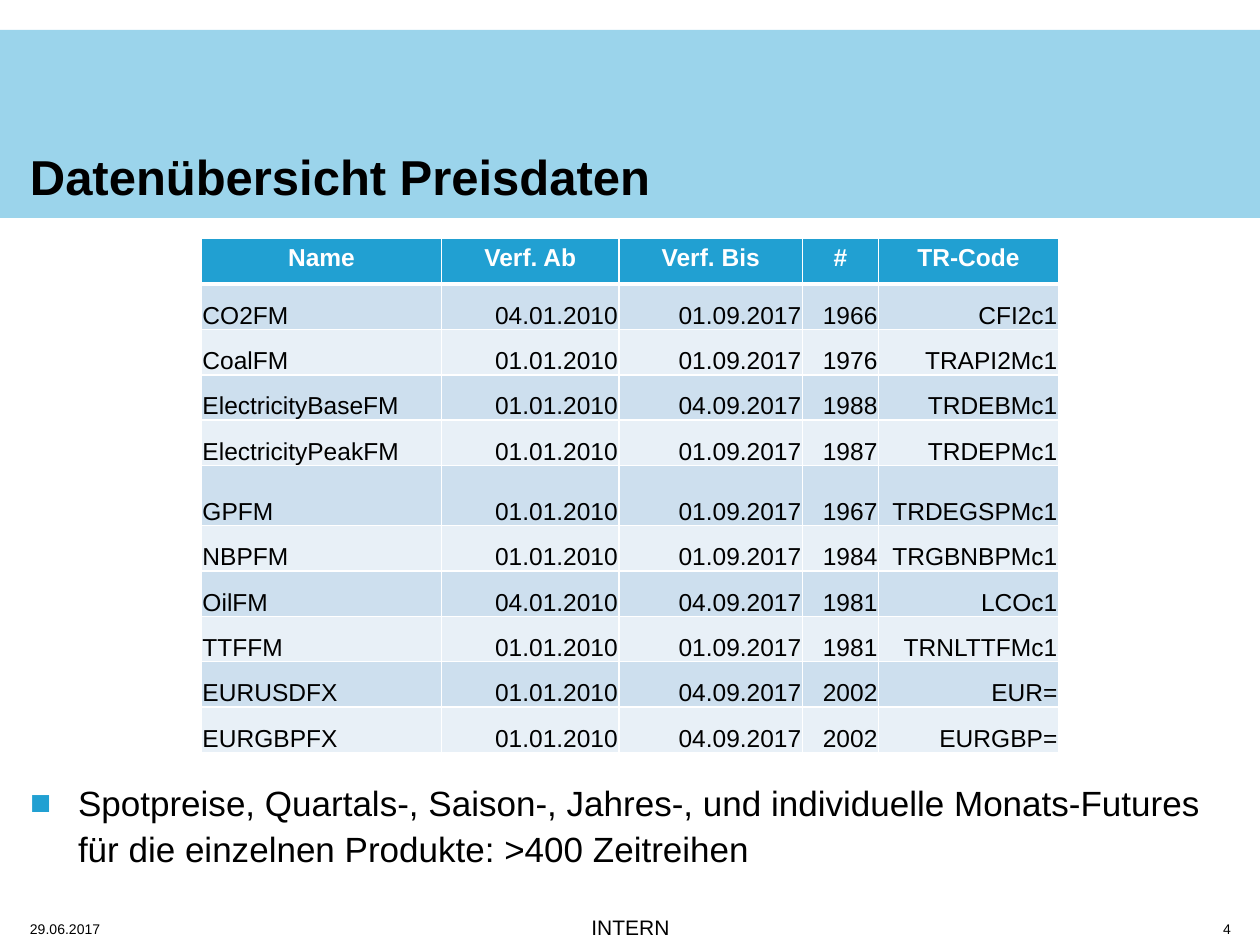
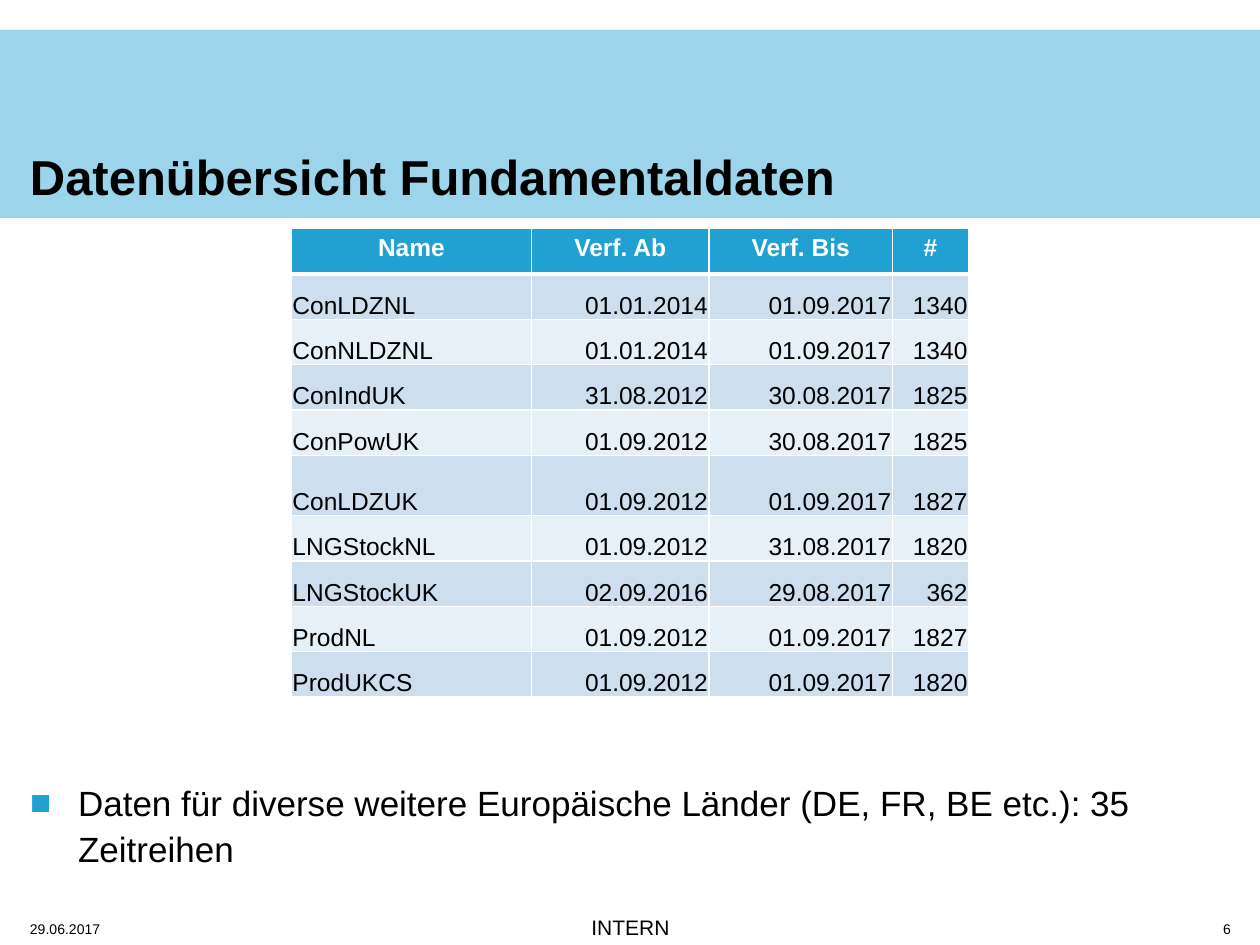
from pptx import Presentation, util as u
from pptx.dml.color import RGBColor
from pptx.enum import shapes, text
from pptx.oxml import parse_xml
from pptx.oxml.ns import nsdecls, qn
from lxml import etree

SCALE = 914400 / 126
FONT = "Arial"
BLACK, WHITE, BAND, ACCENT = "000000", "FFFFFF", "9BD4EB", "21A0D2"
STRIPES = ("CDDFEE", "E8F0F7")
LEFT, CENTER, RIGHT = text.PP_ALIGN.LEFT, text.PP_ALIGN.CENTER, text.PP_ALIGN.RIGHT
TOP, BOTTOM = text.MSO_ANCHOR.TOP, text.MSO_ANCHOR.BOTTOM
COLUMNS = {"Name": 240, "Verf. Ab": 177.5, "Verf. Bis": 183.5, "#": 76, "TR-Code": 180}
HEADER_HEIGHT, ROW_HEIGHT, TALL_HEIGHT, TALL_ROW = 46, 45.4, 60, 5

PRICES = [
    ("CO2FM", "04.01.2010", "01.09.2017", "1966", "CFI2c1"),
    ("CoalFM", "01.01.2010", "01.09.2017", "1976", "TRAPI2Mc1"),
    ("ElectricityBaseFM", "01.01.2010", "04.09.2017", "1988", "TRDEBMc1"),
    ("ElectricityPeakFM", "01.01.2010", "01.09.2017", "1987", "TRDEPMc1"),
    ("GPFM", "01.01.2010", "01.09.2017", "1967", "TRDEGSPMc1"),
    ("NBPFM", "01.01.2010", "01.09.2017", "1984", "TRGBNBPMc1"),
    ("OilFM", "04.01.2010", "04.09.2017", "1981", "LCOc1"),
    ("TTFFM", "01.01.2010", "01.09.2017", "1981", "TRNLTTFMc1"),
    ("EURUSDFX", "01.01.2010", "04.09.2017", "2002", "EUR="),
    ("EURGBPFX", "01.01.2010", "04.09.2017", "2002", "EURGBP="),
]
FUNDAMENTALS = [
    ("ConLDZNL", "01.01.2014", "01.09.2017", "1340"),
    ("ConNLDZNL", "01.01.2014", "01.09.2017", "1340"),
    ("ConIndUK", "31.08.2012", "30.08.2017", "1825"),
    ("ConPowUK", "01.09.2012", "30.08.2017", "1825"),
    ("ConLDZUK", "01.09.2012", "01.09.2017", "1827"),
    ("LNGStockNL", "01.09.2012", "31.08.2017", "1820"),
    ("LNGStockUK", "02.09.2016", "29.08.2017", "362"),
    ("ProdNL", "01.09.2012", "01.09.2017", "1827"),
    ("ProdUKCS", "01.09.2012", "01.09.2017", "1820"),
]


def px(length):
    """Turn pixels into EMU."""
    return u.Emu(round(length * SCALE))


def color(value):
    """Turn a hex string into a colour."""
    return RGBColor.from_string(value)


def style(para, size, ink=BLACK, bold=False, align=LEFT):
    """Set the font and alignment of a paragraph."""
    para.alignment = align
    para.font.name, para.font.size = FONT, u.Pt(size)
    para.font.bold, para.font.color.rgb = bold, color(ink)


def add_text(page, box, words, size, anchor=BOTTOM, **look):
    """Place one paragraph in a box without insets and return it."""
    frame = page.shapes.add_textbox(*map(px, box)).text_frame
    frame.word_wrap, frame.vertical_anchor = True, anchor
    frame.margin_left = frame.margin_top = frame.margin_right = frame.margin_bottom = 0
    para = frame.paragraphs[0]
    para.text = words
    style(para, size, **look)
    return para


def add_heading(page, box, title):
    """Draw the title band with its title."""
    left, top, width, height = box
    band = page.shapes.add_shape(shapes.MSO_SHAPE.RECTANGLE, *map(px, box))
    band.shadow.inherit = False
    band.fill.solid()
    band.fill.fore_color.rgb = color(BAND)
    band.line.fill.background()
    add_text(page, (left + 30, top + 58, 983, 117), title, 28, bold=True)


def add_footer(page, box, number):
    """Place date, classification and page number along the foot."""
    left, top, width, height = box
    side = 100
    add_text(page, (left + width - side, top, side, height), number, 8, align=RIGHT)
    add_text(page, (left + side - 1, top + 10, width - 2 * side + 2, 14), "INTERN", 12, align=CENTER)
    add_text(page, (left, top, side, height), "29.06.2017", 8)


def set_borders(cell, top, bottom):
    """Give a cell white borders, with top and bottom widths in points."""
    props = cell._tc.get_or_add_tcPr()
    for side, width in (("L", 1), ("R", 1), ("T", top), ("B", bottom)):
        props.append(parse_xml(
            f'<a:ln{side} {nsdecls("a")} w="{u.Pt(width)}"><a:solidFill>'
            f'<a:srgbClr val="{WHITE}"/></a:solidFill></a:ln{side}>'))


def fill_cell(cell, words, row, column):
    """Write and style one cell of a data table."""
    header = row == 0
    set_borders(cell, 3 if row == 1 else 1, 3 if header else 1)
    cell.fill.solid()
    cell.fill.fore_color.rgb = color(ACCENT if header else STRIPES[(row - 1) % 2])
    para = cell.text_frame.paragraphs[0]
    para.text = words
    if header:
        style(para, 14, WHITE, True, CENTER)
        return
    cell.vertical_anchor = BOTTOM
    cell.margin_left = cell.margin_top = cell.margin_right = px(1)
    cell.margin_bottom = 0
    style(para, 14, align=RIGHT if column else LEFT)


def add_data_table(page, box, records):
    """Draw a table centred across the box, from its top."""
    left, top, width, height = box
    names = list(COLUMNS)[:len(records[0])]
    widths = [COLUMNS[name] for name in names]
    heights = [HEADER_HEIGHT] + [ROW_HEIGHT] * len(records)
    heights[TALL_ROW] = TALL_HEIGHT
    table_width = sum(widths)
    place = (left + (width - table_width) / 2, top, table_width, sum(heights))
    table = page.shapes.add_table(len(heights), len(names), *map(px, place)).table
    table.first_row = table.horz_banding = False
    for column, size in zip(table.columns, widths):
        column.width = px(size)
    for line, size in zip(table.rows, heights):
        line.height = px(size)
    for row, record in enumerate([names] + records):
        for column, words in enumerate(record):
            fill_cell(table.cell(row, column), words, row, column)


def add_bullet(page, box, words):
    """Place a remark with a square bullet and a hanging indent."""
    para = add_text(page, box, words, 20, anchor=TOP)
    para.line_spacing = 1.1
    props = para._p.get_or_add_pPr()
    props.set("marL", str(px(48)))
    props.set("indent", str(px(-48)))
    tint = etree.Element(qn("a:buClr"))
    etree.SubElement(tint, qn("a:srgbClr")).set("val", ACCENT)
    face = etree.Element(qn("a:buFont"))
    face.set("typeface", FONT)
    mark = etree.Element(qn("a:buChar"))
    mark.set("char", "■")
    props.find(qn("a:lnSpc")).addnext(tint)
    tint.addnext(face)
    face.addnext(mark)


def add_data_page(deck, title, number, table_top, records, remark):
    """Build one overview slide."""
    page = deck.slides.add_slide(deck.slide_layouts[6])
    add_heading(page, (0, 30, 1260, 188), title)
    add_footer(page, (30, 916, 1201, 21), number)
    add_data_table(page, (0, table_top, 1260, 530), records)
    add_bullet(page, (30, 777, 1201, 116), remark)


deck = Presentation()
deck.slide_width, deck.slide_height = px(1260), px(945)
add_data_page(deck, "Datenübersicht Preisdaten", "4", 238, PRICES,
              "Spotpreise, Quartals-, Saison-, Jahres-, und individuelle Monats-Futures "
              "für die einzelnen Produkte: >400 Zeitreihen")
add_data_page(deck, "Datenübersicht Fundamentaldaten", "6", 228, FUNDAMENTALS,
              "Daten für diverse weitere Europäische Länder (DE, FR, BE etc.): 35 Zeitreihen")
deck.save("out.pptx")
